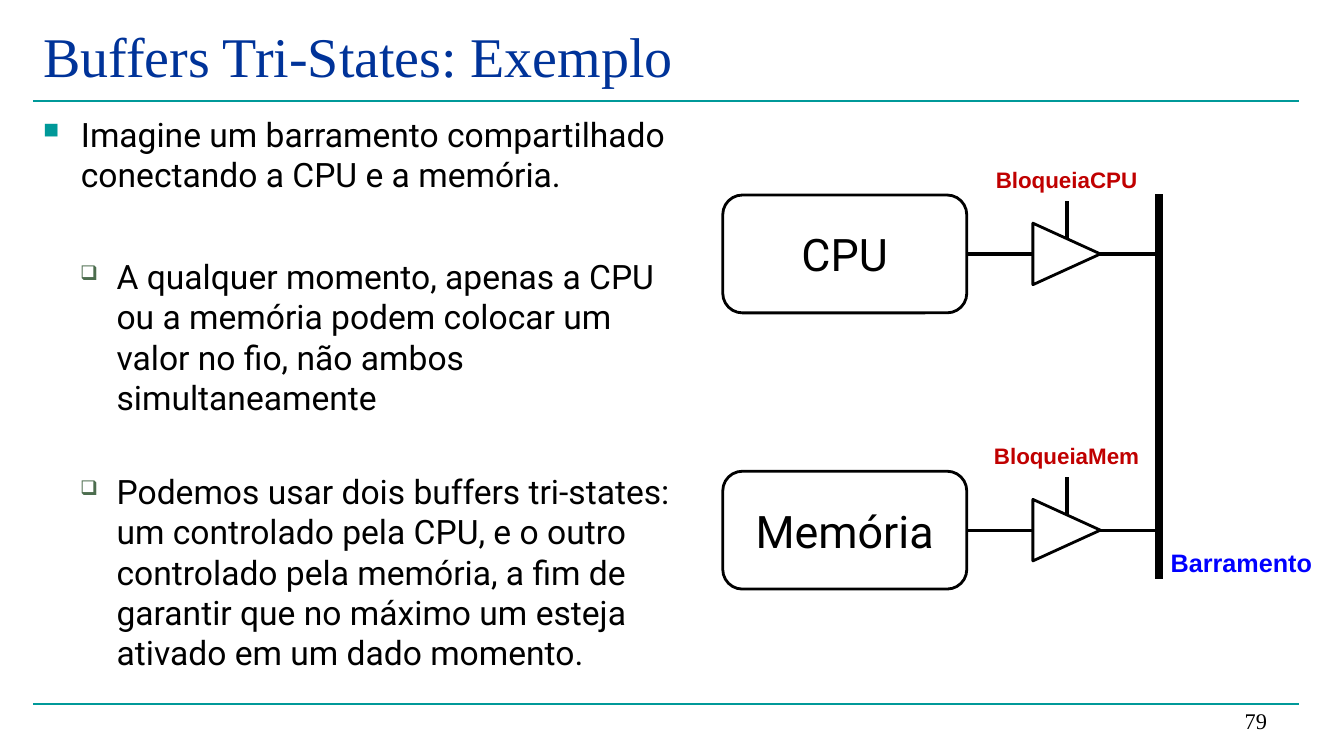
from lxml.etree import SubElement
from pptx import Presentation
from pptx.dml.color import RGBColor
from pptx.enum.shapes import MSO_CONNECTOR as Link, MSO_SHAPE as Shape
from pptx.enum.text import MSO_ANCHOR as Anchor, PP_ALIGN as Align
from pptx.oxml.ns import qn
from pptx.util import Cm, Pt

BLACK = RGBColor(0x00, 0x00, 0x00)
WHITE = RGBColor(0xFF, 0xFF, 0xFF)
TEAL = RGBColor(0x00, 0x99, 0x99)
NAVY = RGBColor(0x00, 0x33, 0x99)
MOSS = RGBColor(0x4C, 0x6D, 0x4E)
RED = RGBColor(0xC0, 0x00, 0x00)
BLUE = RGBColor(0x00, 0x00, 0xFF)

BUFFER_X = 26.88
BUS_X = 29.21

# Bullet sign, colour, size in percent, left margin in cm, hanging indent in cm
MAIN_BULLET = ("■", TEAL, 65, 0.95, 0.95)
SUB_BULLET = ("❑", MOSS, 60, 1.85, 0.92)

# Text, bullet, space before in points
POINTS = [
    ("Imagine um barramento compartilhado conectando a CPU e a memória.",
     MAIN_BULLET, 0),
    ("A qualquer momento, apenas a CPU ou a memória podem colocar um valor "
     "no fio, não ambos simultaneamente", SUB_BULLET, 44),
    ("Podemos usar dois buffers tri-states: um controlado pela CPU, e o outro "
     "controlado pela memória, a fim de garantir que no máximo um esteja "
     "ativado em um dado momento.", SUB_BULLET, 38.5),
]

# Name, control signal, vertical centre in cm
DEVICES = [("CPU", "BloqueiaCPU", 6.4), ("Memória", "BloqueiaMem", 13.36)]


def add_run(paragraph, text, size, font, color, bold=False):
    run = paragraph.add_run()
    run.text = text
    run.font.size = Pt(size)
    run.font.name = font
    run.font.bold = bold
    run.font.color.rgb = color


def add_frame(slide, left, top, width, height, anchor=Anchor.TOP):
    frame = slide.shapes.add_textbox(
        Cm(left), Cm(top), Cm(width), Cm(height)).text_frame
    frame.word_wrap = True
    frame.vertical_anchor = anchor
    return frame


def add_label(slide, box, text, size, font, color, bold=False,
              align=Align.CENTER, anchor=Anchor.TOP):
    paragraph = add_frame(slide, *box, anchor).paragraphs[0]
    paragraph.alignment = align
    add_run(paragraph, text, size, font, color, bold)


def set_bullet(paragraph, sign, color, percent, margin, hanging):
    props = paragraph._p.get_or_add_pPr()
    props.set("marL", str(Cm(margin)))
    props.set("indent", str(-Cm(hanging)))
    tint = SubElement(props, qn("a:buClr"))
    SubElement(tint, qn("a:srgbClr"), val=str(color))
    SubElement(props, qn("a:buSzPct"), val=str(percent * 1000))
    SubElement(props, qn("a:buChar"), char=sign)


def add_points(slide):
    frame = add_frame(slide, 0.84, 2.74, 16.51, 14.58)
    for index, (text, bullet, gap) in enumerate(POINTS):
        paragraph = frame.add_paragraph() if index else frame.paragraphs[0]
        set_bullet(paragraph, *bullet)
        paragraph.space_before = Pt(gap)
        add_run(paragraph, text, 24, "Roboto", BLACK)


def add_wire(slide, x1, y1, x2, y2, width, color=BLACK):
    wire = slide.shapes.add_connector(
        Link.STRAIGHT, Cm(x1), Cm(y1), Cm(x2), Cm(y2))
    wire.line.color.rgb = color
    wire.line.width = Pt(width)
    SubElement(wire._element.spPr, qn("a:effectLst"))
    return wire


def add_outline(slide, kind, center_x, center_y, width, height):
    outline = slide.shapes.add_shape(
        kind, Cm(center_x - width / 2), Cm(center_y - height / 2),
        Cm(width), Cm(height))
    outline.shadow.inherit = False
    outline.fill.solid()
    outline.fill.fore_color.rgb = WHITE
    outline.line.color.rgb = BLACK
    outline.line.width = Pt(2)
    return outline


def add_device(slide, name, signal, y):
    # Device block
    device = add_outline(slide, Shape.ROUNDED_RECTANGLE, 21.29, y, 6.15, 2.97)
    device.text_frame.vertical_anchor = Anchor.MIDDLE
    paragraph = device.text_frame.paragraphs[0]
    paragraph.alignment = Align.CENTER
    add_run(paragraph, name, 32, "Roboto", BLACK)

    # Tri-state buffer with its control line and signal name
    tri_state = add_outline(
        slide, Shape.ISOSCELES_TRIANGLE, BUFFER_X, y, 1.55, 1.7)
    tri_state.rotation = 90
    add_wire(slide, BUFFER_X, y - 1.33, BUFFER_X, y - 0.39, 3)
    add_label(slide, (BUFFER_X - 2.3, y - 2.35, 4.6, 0.94),
              signal, 16, "Arial", RED, bold=True)

    # Wires from the device through the buffer to the bus
    device_wire = add_wire(slide, 24.36, y, BUFFER_X - 0.85, y, 2.25)
    device_wire.begin_connect(device, 3)
    add_wire(slide, BUFFER_X + 0.85, y, BUS_X, y, 2.25)


def main():
    deck = Presentation()
    deck.slide_width, deck.slide_height = Cm(33.87), Cm(19.05)
    slide = deck.slides.add_slide(deck.slide_layouts[6])

    # Rules, title and page number
    for y in (2.54, 17.73):
        add_wire(slide, 0.84, y, 32.74, y, 1.5, TEAL)
    add_label(slide, (0.84, 0.43, 31.9, 2.0), "Buffers Tri-States: Exemplo",
              40, "Times New Roman", NAVY, align=Align.LEFT)
    add_label(slide, (24.28, 17.35, 7.9, 1.27), "79", 16, "Times New Roman",
              BLACK, align=Align.RIGHT, anchor=Anchor.BOTTOM)

    # Explanation
    add_points(slide)

    # Circuit
    add_wire(slide, BUS_X, 4.9, BUS_X, 14.6, 6)
    for device in DEVICES:
        add_device(slide, *device)
    add_label(slide, (29.01, 13.67, 4.55, 1.02), "Barramento",
              18, "Arial", BLUE, bold=True)

    deck.save("out.pptx")


if __name__ == "__main__":
    main()
